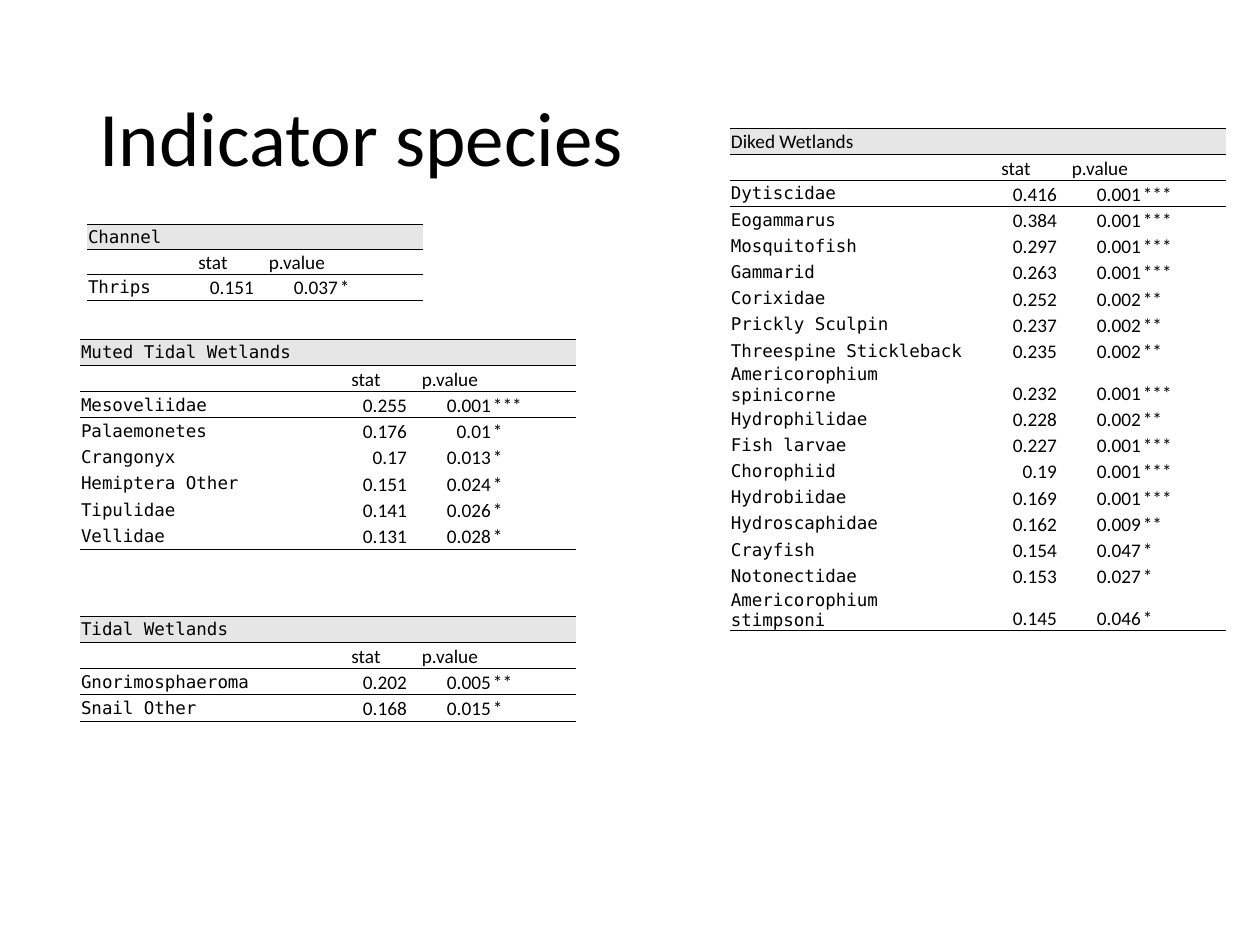
from lxml.etree import SubElement
from pptx import Presentation
from pptx.dml.color import RGBColor
from pptx.enum.text import MSO_ANCHOR, MSO_AUTO_SIZE, PP_ALIGN
from pptx.oxml import parse_xml
from pptx.oxml.ns import nsdecls, qn
from pptx.util import Pt

PX = 914400 / 126
BLACK, WHITE, GREY = "000000", "FFFFFF", "E7E6E6"
SANS, MONO = "Calibri", "DejaVu Sans Mono"
NO_STYLE = "{2D5ABB26-0587-4C30-8999-92F81FD0307C}"
VALUE_W = 84

CHANNEL = [("Thrips", "0.151", "0.037", "*")]
MUTED_TIDAL = [
    ("Mesoveliidae", "0.255", "0.001", "***"),
    ("Palaemonetes", "0.176", "0.01", "*"),
    ("Crangonyx", "0.17", "0.013", "*"),
    ("Hemiptera Other", "0.151", "0.024", "*"),
    ("Tipulidae", "0.141", "0.026", "*"),
    ("Vellidae", "0.131", "0.028", "*"),
]
TIDAL = [
    ("Gnorimosphaeroma", "0.202", "0.005", "**"),
    ("Snail Other", "0.168", "0.015", "*"),
]
DIKED = [
    ("Dytiscidae", "0.416", "0.001", "***"),
    ("Eogammarus", "0.384", "0.001", "***"),
    ("Mosquitofish", "0.297", "0.001", "***"),
    ("Gammarid", "0.263", "0.001", "***"),
    ("Corixidae", "0.252", "0.002", "**"),
    ("Prickly Sculpin", "0.237", "0.002", "**"),
    ("Threespine Stickleback", "0.235", "0.002", "**"),
    ("Americorophium spinicorne", "0.232", "0.001", "***"),
    ("Hydrophilidae", "0.228", "0.002", "**"),
    ("Fish larvae", "0.227", "0.001", "***"),
    ("Chorophiid", "0.19", "0.001", "***"),
    ("Hydrobiidae", "0.169", "0.001", "***"),
    ("Hydroscaphidae", "0.162", "0.009", "**"),
    ("Crayfish", "0.154", "0.047", "*"),
    ("Notonectidae", "0.153", "0.027", "*"),
    ("Americorophium stimpsoni", "0.145", "0.046", "*"),
]


def px(n):
    return round(n * PX)


def rgb(color):
    return RGBColor.from_string(color)


def write(tf, text, font=SANS, size=11, color=BLACK, align=PP_ALIGN.LEFT, spacing=None):
    p = tf.paragraphs[0]
    p.alignment = align
    p.line_spacing = spacing
    if not text:
        # An empty cell still takes the height of its end mark.
        SubElement(p._p, qn("a:endParaRPr"), sz=str(size * 100))
        return
    r = p.add_run()
    r.text = text
    r.font.name, r.font.size = font, Pt(size)
    r.font.color.rgb = rgb(color)


def rule_cell(cell, *sides):
    """Draw thin lines on the given sides, named T and B in that order."""
    tcPr = cell._tc.get_or_add_tcPr()
    for i, side in enumerate(sides):
        tcPr.insert(i, parse_xml(
            f'<a:ln{side} {nsdecls("a")} w="6350"><a:solidFill>'
            f'<a:srgbClr val="{BLACK}"/></a:solidFill></a:ln{side}>'))


def add_title(s, text, x, y, w, h):
    sp = s.shapes.title
    sp.left, sp.top, sp.width, sp.height = map(px, (x, y, w, h))
    tf = sp.text_frame
    tf.auto_size = MSO_AUTO_SIZE.NONE
    tf.vertical_anchor = MSO_ANCHOR.MIDDLE
    write(tf, text, size=44, spacing=0.9)


def add_species_table(s, heading, species, x, y, w, h, heading_font=MONO):
    rows = [(heading, "", "", ""), ("", "stat", "p.value", ""), *species]
    frame = s.shapes.add_table(len(rows), 4, *map(px, (x, y, w, h)))
    table = frame.table
    table.first_row = table.horz_banding = False
    table._tbl.tblPr.find(qn("a:tableStyleId")).text = NO_STYLE
    for c, col in enumerate(table.columns):
        col.width = px(VALUE_W if c else w - 3 * VALUE_W)

    for i, values in enumerate(rows):
        table.rows[i].height = px(h / len(rows))
        for c, text in enumerate(values):
            cell = table.cell(i, c)
            cell.margin_left = cell.margin_right = cell.margin_top = px(1)
            cell.margin_bottom = 0
            font = SANS if c else heading_font if i == 0 else MONO
            mono = font == MONO
            cell.vertical_anchor = MSO_ANCHOR.MIDDLE if mono else MSO_ANCHOR.BOTTOM
            align = PP_ALIGN.LEFT
            if c in (1, 2):
                align = PP_ALIGN.CENTER if i == 1 else PP_ALIGN.RIGHT
            write(cell.text_frame, text, font, 10 if mono else 11, align=align)
            if i == 0:
                cell.fill.solid()
                cell.fill.fore_color.rgb = rgb(GREY)
            else:
                cell.fill.background()
            if i < 2:
                rule_cell(cell, "T", "B")
            elif i == len(rows) - 1:
                rule_cell(cell, *("TB" if i == 2 else "B"))
            elif i == 2:
                rule_cell(cell, "T")


def main():
    prs = Presentation()
    prs.slide_width, prs.slide_height = px(1260), px(945)
    s = prs.slides.add_slide(prs.slide_layouts[5])
    s.background.fill.solid()
    s.background.fill.fore_color.rgb = rgb(WHITE)

    add_title(s, "Indicator species", 87, 50, 1086, 183)
    add_species_table(s, "Channel", CHANNEL, 87, 224, 336, 76)
    add_species_table(s, "Muted Tidal Wetlands", MUTED_TIDAL, 80, 339, 496, 210)
    add_species_table(s, "Tidal Wetlands", TIDAL, 80, 616, 496, 105)
    add_species_table(s, "Diked Wetlands", DIKED, 730, 128, 496, 472, heading_font=SANS)
    prs.save("out.pptx")


if __name__ == "__main__":
    main()
